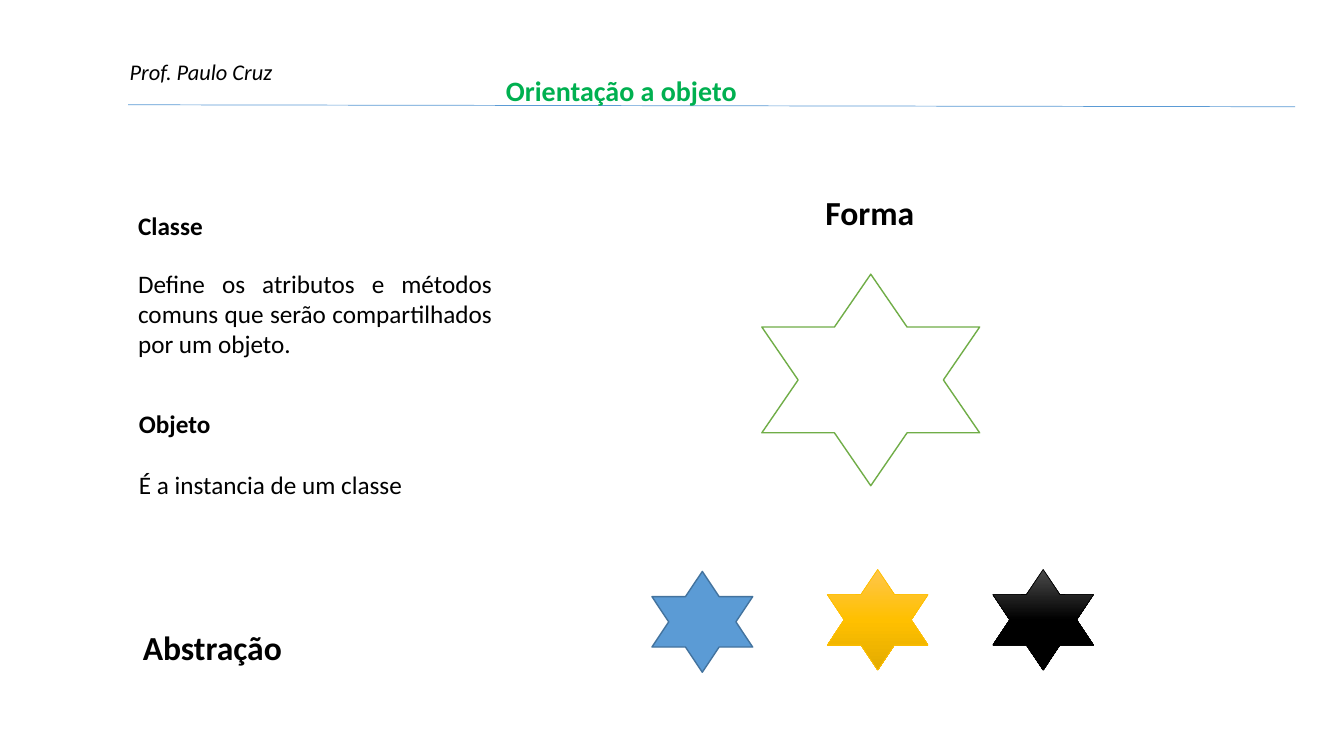
from copy import deepcopy

from lxml import etree
from pptx import Presentation
from pptx.dml.color import RGBColor
from pptx.enum.shapes import MSO_CONNECTOR, MSO_SHAPE
from pptx.enum.text import MSO_AUTO_SIZE, PP_ALIGN
from pptx.oxml.ns import qn
from pptx.util import Cm, Pt

STAR = MSO_SHAPE.STAR_6_POINT
STRAIGHT = MSO_CONNECTOR.STRAIGHT
LEFT, JUSTIFY = PP_ALIGN.LEFT, PP_ALIGN.JUSTIFY
FIT = MSO_AUTO_SIZE.SHAPE_TO_FIT_TEXT

BLACK = RGBColor(0x00, 0x00, 0x00)
CHARCOAL = RGBColor(0x4B, 0x4B, 0x4B)
WHITE = RGBColor(0xFF, 0xFF, 0xFF)
BLUE = RGBColor(0x5B, 0x9B, 0xD5)
DARK_BLUE = RGBColor(0x43, 0x73, 0x9E)
GREEN = RGBColor(0x70, 0xAD, 0x47)
TITLE_GREEN = RGBColor(0x00, 0xB0, 0x50)
LIGHT_GOLD = RGBColor(0xFF, 0xC6, 0x4B)
GOLD = RGBColor(0xFF, 0xC0, 0x00)
DARK_GOLD = RGBColor(0xE3, 0xAB, 0x00)

# Text formats: size, bold, italic
AUTHOR = {"size": Pt(16), "italic": True}
TITLE = {"size": Pt(20), "bold": True}
HEADING = {"size": Pt(24), "bold": True}
TERM = {"size": Pt(18), "bold": True}
BODY = {"size": Pt(18)}

# Content: text, (left, top, width, height) in cm, format, colour, alignment, wrap
TEXTS = [
    ("Prof. Paulo Cruz", (3.02, 1.35, 4.14, 0.94), AUTHOR, BLACK, LEFT, False),
    ("Orientação a objeto", (12.5, 1.73, 7.9, 1.11), TITLE, TITLE_GREEN, LEFT, True),
    ("Forma", (20.55, 4.72, 2.77, 1.28), HEADING, BLACK, LEFT, False),
    ("Classe", (3.23, 5.18, 2.16, 1.03), TERM, BLACK, LEFT, False),
    ("Define os atributos e métodos comuns que serão compartilhados por um objeto.",
     (3.23, 6.63, 9.42, 2.57), BODY, BLACK, JUSTIFY, True),
    ("Objeto", (3.25, 10.16, 2.34, 1.03), TERM, BLACK, LEFT, False),
    ("É a instancia de um classe", (3.25, 11.71, 9.42, 1.03), BODY, BLACK, JUSTIFY, True),
    ("Abstração", (3.35, 15.67, 4.06, 1.28), HEADING, BLACK, LEFT, False),
]

# Stars: (left, top, width, height) in cm, fill colours from top to bottom, line, points
STARS = [
    ((19.2, 6.91, 5.49, 5.33), [WHITE], GREEN, 1),
    ((16.43, 14.4, 2.54, 2.54), [BLUE], DARK_BLUE, 1),
    ((20.85, 14.35, 2.54, 2.54), [LIGHT_GOLD, GOLD, DARK_GOLD], GOLD, 0.5),
    ((25.02, 14.35, 2.54, 2.54), [CHARCOAL, BLACK, BLACK], BLACK, 0.5),
]
RULE = (3.23, 2.64, 32.64, 2.69)


def cm(lengths):
    return [Cm(v) for v in lengths]


def paint(sp, colours):
    fill = sp.fill
    if len(colours) == 1:
        fill.solid()
        fill.fore_color.rgb = colours[0]
        return
    fill.gradient()
    fill.gradient_angle = 270
    # The default gradient has two stops; add the missing ones
    stop_list = sp._element.spPr.find(".//" + qn("a:gsLst"))
    while len(stop_list) < len(colours):
        stop_list.append(deepcopy(stop_list[0]))
    for i, (stop, colour) in enumerate(zip(fill.gradient_stops, colours)):
        stop.position = i / (len(colours) - 1)
        stop.color.rgb = colour


prs = Presentation()
prs.slide_width, prs.slide_height = Cm(33.87), Cm(19.05)
slide = prs.slides.add_slide(prs.slide_layouts[6])
shapes = slide.shapes

# Header rule
rule = shapes.add_connector(STRAIGHT, *cm(RULE))
rule.line.color.rgb = BLUE
rule.line.width = Pt(0.5)
etree.SubElement(rule._element.spPr, qn("a:effectLst"))

# Stars
for box, colours, line_colour, points in STARS:
    sp = shapes.add_shape(STAR, *cm(box))
    sp.shadow.inherit = False
    paint(sp, colours)
    sp.line.color.rgb = line_colour
    sp.line.width = Pt(points)

# Texts
for text, box, style, colour, align, wrap in TEXTS:
    tf = shapes.add_textbox(*cm(box)).text_frame
    tf.word_wrap = wrap
    tf.auto_size = FIT
    p = tf.paragraphs[0]
    p.alignment = align
    r = p.add_run()
    r.text = text
    r.font.name = "Calibri"
    r.font.color.rgb = colour
    for name, value in style.items():
        setattr(r.font, name, value)

prs.save("out.pptx")
